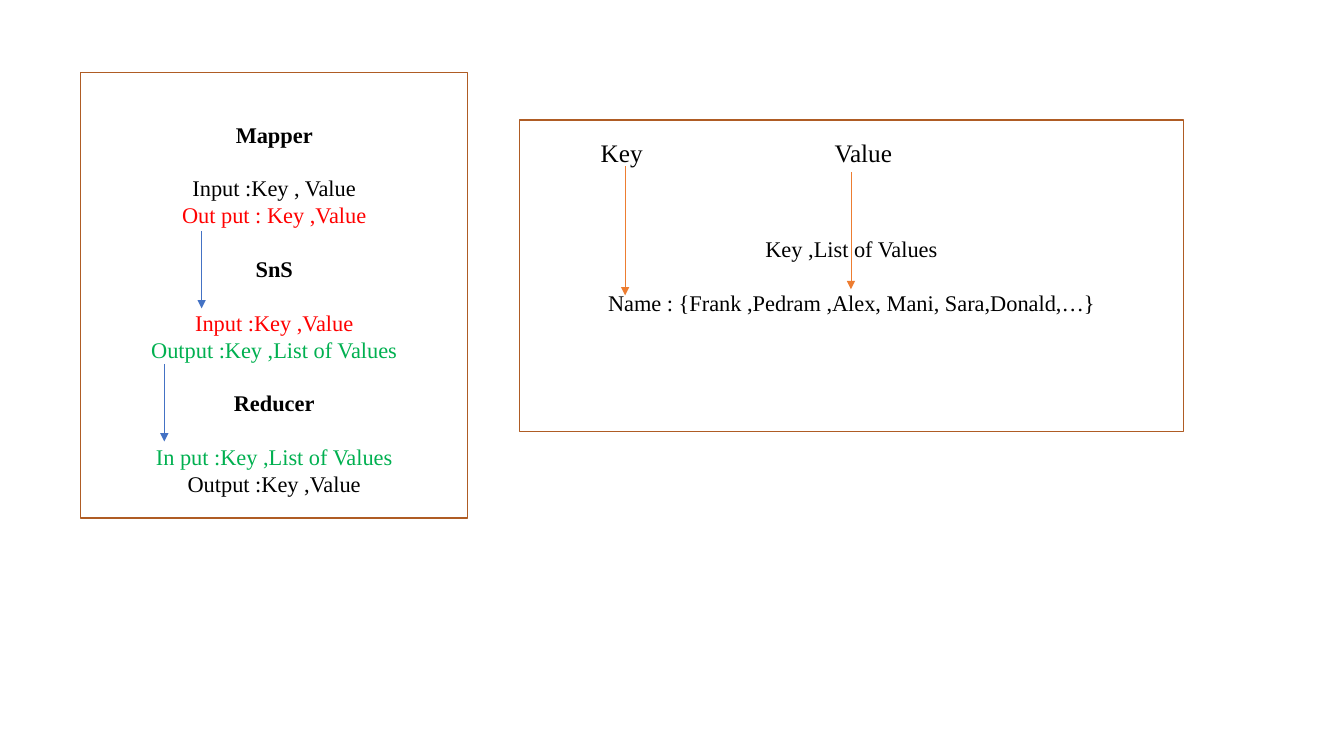
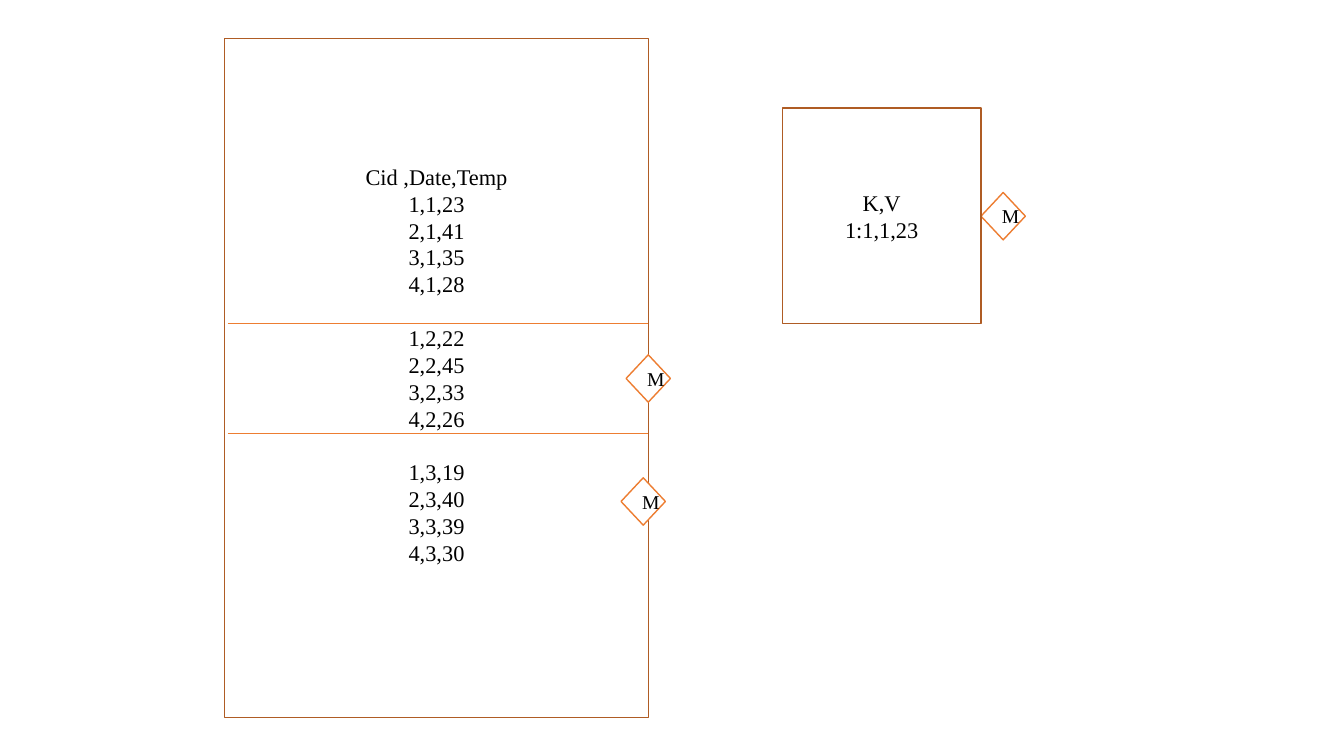
from lxml import etree
from pptx import Presentation
from pptx.dml.color import RGBColor
from pptx.enum.shapes import MSO_CONNECTOR as Connector, MSO_SHAPE as Shape
from pptx.enum.text import MSO_ANCHOR as Anchor, PP_ALIGN as Align
from pptx.oxml.ns import qn
from pptx.util import Inches, Pt

FONT = "Times New Roman"
BLACK, WHITE, RED, GREEN = "000000", "FFFFFF", "FF0000", "00B050"
BROWN, ORANGE, BLUE = "AF5C24", "ED7D31", "4472C4"
LINE_PITCH = Pt(19.2)
INSET = Inches(0.05)


def add_text(slide, groups, left, top, width, height, geometry=None, line=BROWN,
             size=16, pitch=LINE_PITCH, lead=0, trail=0):
    """Add a framed shape, or a plain label without geometry.

    Each group is a list of (text, colour, bold) lines; one line of space
    parts the groups. lead and trail count extra lines of inset.
    """
    box = [Inches(length) for length in (left, top, width, height)]
    if geometry is None:
        shape = slide.shapes.add_textbox(*box)
    else:
        shape = slide.shapes.add_shape(geometry, *box)
        shape.shadow.inherit = False
        shape.fill.solid()
        shape.fill.fore_color.rgb = RGBColor.from_string(WHITE)
        shape.line.color.rgb = RGBColor.from_string(line)
        shape.line.width = Pt(1)
    frame = shape.text_frame
    frame.word_wrap = geometry is not None
    frame.vertical_anchor = Anchor.TOP if geometry is None else Anchor.MIDDLE
    frame.margin_top = INSET + lead * LINE_PITCH
    frame.margin_bottom = INSET + trail * LINE_PITCH
    paragraph = None
    for group in groups:
        for index, (text, colour, bold) in enumerate(group):
            starts_new_group = paragraph is not None and index == 0
            paragraph = frame.paragraphs[0] if paragraph is None else frame.add_paragraph()
            paragraph.text = text
            paragraph.alignment = Align.LEFT if geometry is None else Align.CENTER
            paragraph.space_before = LINE_PITCH if starts_new_group else Pt(0)
            paragraph.line_spacing = pitch
            font = paragraph.font
            font.name, font.size, font.bold = FONT, Pt(size), bold
            font.color.rgb = RGBColor.from_string(colour)


def add_line(slide, x1, y1, x2, y2, colour, arrow=False):
    points = [Inches(length) for length in (x1, y1, x2, y2)]
    connector = slide.shapes.add_connector(Connector.STRAIGHT, *points)
    connector.line.color.rgb = RGBColor.from_string(colour)
    connector.line.width = Pt(0.5)
    if arrow:
        outline = connector.line._get_or_add_ln()
        etree.SubElement(outline, qn("a:tailEnd"), type="triangle")
    etree.SubElement(connector._element.spPr, qn("a:effectLst"))


presentation = Presentation()
presentation.slide_width = Inches(13.33)
presentation.slide_height = Inches(7.5)
blank_layout = presentation.slide_layouts[6]

# Stages of the job, and a key with its list of values
slide = presentation.slides.add_slide(blank_layout)
stages = [
    ("Mapper", ("Input :Key , Value", BLACK), ("Out put : Key ,Value", RED)),
    ("SnS", ("Input :Key ,Value", RED), ("Output :Key ,List of Values", GREEN)),
    ("Reducer", ("In put :Key ,List of Values", GREEN), ("Output :Key ,Value", BLACK)),
]
stage_groups = []
for name, *flows in stages:
    stage_groups.append([(name, BLACK, True)])
    stage_groups.append([(text, colour, False) for text, colour in flows])
add_text(slide, stage_groups, 0.8, 0.72, 3.84, 4.42, Shape.RECTANGLE, lead=2, trail=1)

example_lines = ["Key ,List of Values", "Name : {Frank ,Pedram ,Alex, Mani, Sara,Donald,…}"]
add_text(slide, [[(text, BLACK, False)] for text in example_lines],
         5.15, 1.19, 6.59, 3.09, Shape.RECTANGLE)
for x, y1, y2 in [(6.2, 1.65, 2.93), (8.44, 1.71, 2.87)]:
    add_line(slide, x, y1, x, y2, ORANGE, arrow=True)
for label, left, width in [("Key", 5.86, 0.62), ("Value", 8.18, 0.78)]:
    add_text(slide, [[(label, BLACK, False)]], left, 1.31, width, 0.4, size=18, pitch=None)
for x, y in [(2, 2.29), (1.63, 3.61)]:
    add_line(slide, x, y, x, y + 0.77, BLUE, arrow=True)

# Records split between mappers
slide = presentation.slides.add_slide(blank_layout)
record_groups = [
    ["Cid ,Date,Temp", "1,1,23", "2,1,41", "3,1,35", "4,1,28"],
    ["1,2,22", "2,2,45", "3,2,33", "4,2,26"],
    ["1,3,19", "2,3,40", "3,3,39", "4,3,30"],
]
add_text(slide, [[(text, BLACK, False) for text in group] for group in record_groups],
         2.23, 0.38, 4.2, 6.74, Shape.RECTANGLE, trail=1)
for y in (3.21, 4.3):
    add_line(slide, 2.26, y, 6.43, y, ORANGE)
for left, top in [(9.73, 1.91), (6.21, 3.52), (6.16, 4.74)]:
    add_text(slide, [[("M", BLACK, False)]], left, top, 0.44, 0.47, Shape.DIAMOND,
             line=ORANGE, size=14, pitch=None)
add_text(slide, [[(text, BLACK, False) for text in ("K,V", "1:1,1,23")]],
         7.76, 1.07, 1.97, 2.14, Shape.RECTANGLE)

presentation.save("out.pptx")
